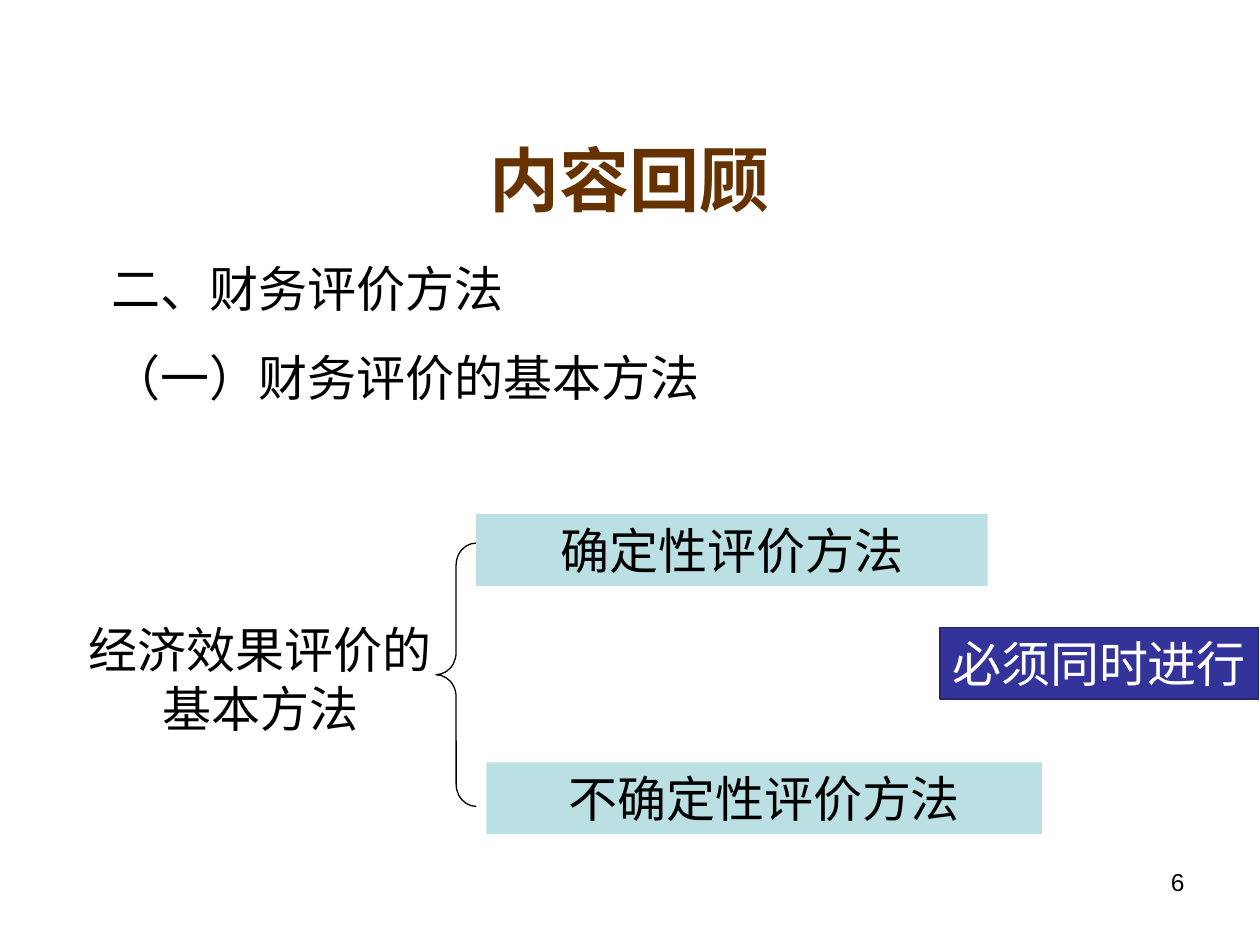
import dataclasses

import pptx
import pptx.dml.color
import pptx.enum.shapes
import pptx.enum.text
import pptx.util

Inches = pptx.util.Inches
Pt = pptx.util.Pt
RGB = pptx.dml.color.RGBColor.from_string
ALIGN = pptx.enum.text.PP_ALIGN
ANCHOR = pptx.enum.text.MSO_ANCHOR
SHAPE = pptx.enum.shapes.MSO_SHAPE


@dataclasses.dataclass(frozen=True)
class Theme:
    font: str = "Arial"
    ink: str = "000000"
    title_ink: str = "663300"
    method_fill: str = "BBE0E3"
    note_fill: str = "333399"
    note_line: str = "23236F"
    note_ink: str = "FFFFFF"
    title_size: int = 40
    body_size: int = 28
    number_size: int = 14


THEME = Theme()


def write(shape, lines, size=THEME.body_size, color=THEME.ink,
          align=ALIGN.LEFT, space=0, bold=False, wrap=True):
    """Fill a shape with one paragraph per line, from the top down."""
    frame = shape.text_frame
    frame.word_wrap = wrap
    frame.auto_size = pptx.enum.text.MSO_AUTO_SIZE.NONE
    frame.vertical_anchor = ANCHOR.TOP
    frame.text = "\n".join(lines)
    for para in frame.paragraphs:
        para.alignment = align
        para.space_before = Pt(space)
        para.font.name = THEME.font
        para.font.size = Pt(size)
        para.font.bold = bold
        para.font.color.rgb = RGB(color)


def add_text(page, box, lines, **style):
    write(page.shapes.add_textbox(*map(Inches, box)), lines, **style)


def add_panel(page, box, text, fill, line=None, **style):
    panel = page.shapes.add_shape(SHAPE.RECTANGLE, *map(Inches, box))
    panel.shadow.inherit = False
    panel.fill.solid()
    panel.fill.fore_color.rgb = RGB(fill)
    if line:
        panel.line.color.rgb = RGB(line)
        panel.line.width = Pt(1)
    else:
        panel.line.fill.background()
    write(panel, [text], **style)


def add_title(page, box, text):
    title = page.shapes.title
    title.left, title.top, title.width, title.height = map(Inches, box)
    write(title, [text], size=THEME.title_size, color=THEME.title_ink,
          align=ALIGN.CENTER, bold=True)


def add_brace(page, box):
    brace = page.shapes.add_shape(SHAPE.LEFT_BRACE, *map(Inches, box))
    brace.shadow.inherit = False
    brace.fill.background()
    brace.line.color.rgb = RGB(THEME.ink)
    brace.line.width = Pt(0.75)
    brace.adjustments[0] = 0.55
    brace.adjustments[1] = 0.5


def add_method_tree(page, left, top):
    """Place the label, its brace, the two methods and the remark."""
    add_text(page, (left, top + 0.79, 2.95, 1.75),
             ["经济效果评价的", "基本方法"], align=ALIGN.CENTER)
    add_brace(page, (left + 2.87, top + 0.23, 0.32, 2.09))
    methods = [
        ("确定性评价方法", 3.19, 0, 4.06),
        ("不确定性评价方法", 3.27, 1.97, 4.41),
    ]
    for text, dx, dy, width in methods:
        add_panel(page, (left + dx, top + dy, width, 0.57), text,
                  THEME.method_fill, align=ALIGN.CENTER)
    add_panel(page, (left + 6.87, top + 0.9, 2.53, 0.57), "必须同时进行",
              THEME.note_fill, THEME.note_line, color=THEME.note_ink,
              wrap=False)


def main():
    deck = pptx.Presentation()
    deck.slide_width, deck.slide_height = Inches(10), Inches(7.5)
    page = deck.slides.add_slide(deck.slide_layouts.get_by_name("Title Only"))

    # Heading and section lines
    add_title(page, (2.3, 1.03, 5.39, 0.77), "内容回顾")
    add_text(page, (0.79, 2, 8.74, 1.28),
             ["二、财务评价方法", "（一）财务评价的基本方法"], space=17.5)

    # Methods diagram
    add_method_tree(page, 0.59, 4.08)

    # Page number
    add_text(page, (7.17, 6.83, 2.33, 0.52), ["6"],
             size=THEME.number_size, align=ALIGN.RIGHT)
    deck.save("out.pptx")


if __name__ == "__main__":
    main()
